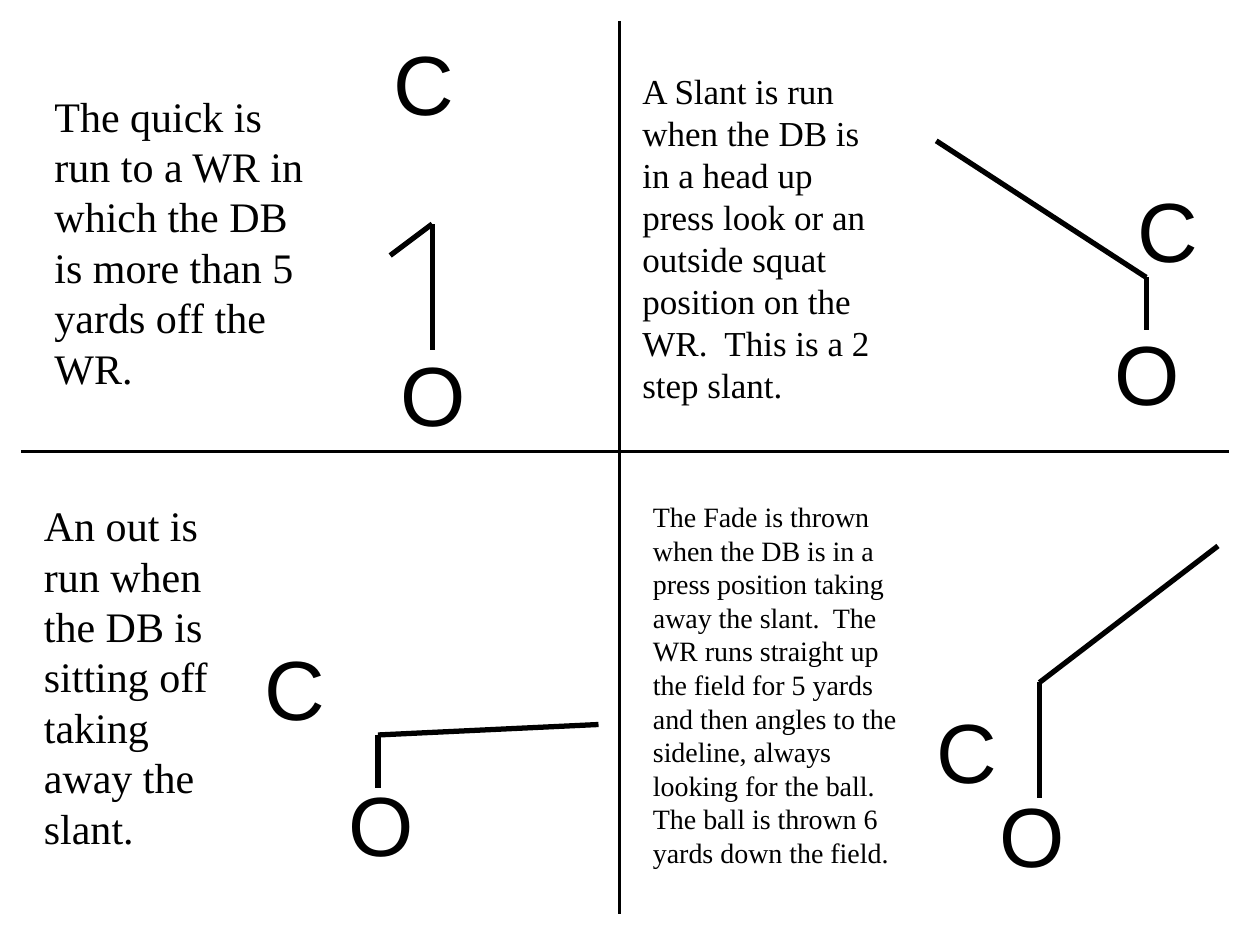
from lxml.etree import SubElement
from pptx import Presentation
from pptx.dml.color import RGBColor
from pptx.enum.shapes import MSO_CONNECTOR
from pptx.enum.text import MSO_AUTO_SIZE
from pptx.oxml.ns import qn
from pptx.util import Pt

INK = {"text": "000000", "line": "000000"}
MID_X, MID_Y = 354, 258

# Places are measured from the corner of each play's quarter.
PLAYS = [
    {"origin": (0, 0), "note": (24, 48, 162, 180), "size": 24,
     "text": "The quick is run to a WR in which the DB is more than 5 yards off the WR.",
     "O": (222, 192), "C": (217.5, 14.5),
     "route": [(247, 200), (247, 128), (223, 146)]},
    {"origin": (MID_X, 0), "note": (6, 36, 150, 199.5), "size": 20,
     "text": "A Slant is run when the DB is in a head up press look or an outside "
             "squat position on the WR.  This is a 2 step slant.",
     "O": (276, 180), "C": (289, 98.5),
     "route": [(301, 188.5), (301, 158.5), (181, 80.5)]},
    {"origin": (0, MID_Y), "note": (18, 24, 126, 209), "size": 24,
     "text": "An out is run when the DB is sitting off taking away the slant.",
     "O": (192, 180), "C": (144, 102),
     "route": [(216, 192), (216, 162), (342, 156)]},
    {"origin": (MID_X, MID_Y), "note": (12, 24, 156, 219), "size": 16,
     "text": "The Fade is thrown when the DB is in a press position taking away "
             "the slant.  The WR runs straight up the field for 5 yards and then "
             "angles to the sideline, always looking for the ball.  The ball is "
             "thrown 6 yards down the field.",
     "O": (210, 186), "C": (174, 138),
     "route": [(240, 198), (240, 132), (342, 54)]},
]


def add_text(slide, box, text, size, font, wrap=True):
    frame = slide.shapes.add_textbox(*map(Pt, box)).text_frame
    frame.word_wrap = wrap
    frame.auto_size = MSO_AUTO_SIZE.SHAPE_TO_FIT_TEXT
    run = frame.paragraphs[0].add_run()
    run.text = text
    run.font.size = Pt(size)
    run.font.name = font
    run.font.color.rgb = RGBColor.from_string(INK["text"])


def add_line(slide, start, end, width):
    line = slide.shapes.add_connector(
        MSO_CONNECTOR.STRAIGHT, *map(Pt, (*start, *end)))
    line.line.color.rgb = RGBColor.from_string(INK["line"])
    line.line.width = Pt(width)
    SubElement(line._element.spPr, qn("a:effectLst"))


def add_cross(slide):
    """Divide the slide into four quarters."""
    add_line(slide, (12, MID_Y), (702, MID_Y), 2.25)
    add_line(slide, (MID_X, 12), (MID_X, 522), 2.25)


def add_play(slide, play):
    """Place the note, both players and the route in one quarter."""
    left, top = play["origin"]
    x, y, width, height = play["note"]
    add_text(slide, (left + x, top + y, width, height),
             play["text"], play["size"], "Times New Roman")
    for mark, wide in (("O", 52), ("C", 49)):
        x, y = play[mark]
        add_text(slide, (left + x, top + y, wide, 65), mark, 48, "Arial", wrap=False)
    route = [(left + x, top + y) for x, y in play["route"]]
    for start, end in zip(route, route[1:]):
        add_line(slide, start, end, 3)


def main():
    deck = Presentation()
    deck.slide_width, deck.slide_height = Pt(720), Pt(540)
    slide = deck.slides.add_slide(deck.slide_layouts[6])
    add_cross(slide)
    for play in PLAYS:
        add_play(slide, play)
    deck.save("out.pptx")


if __name__ == "__main__":
    main()
